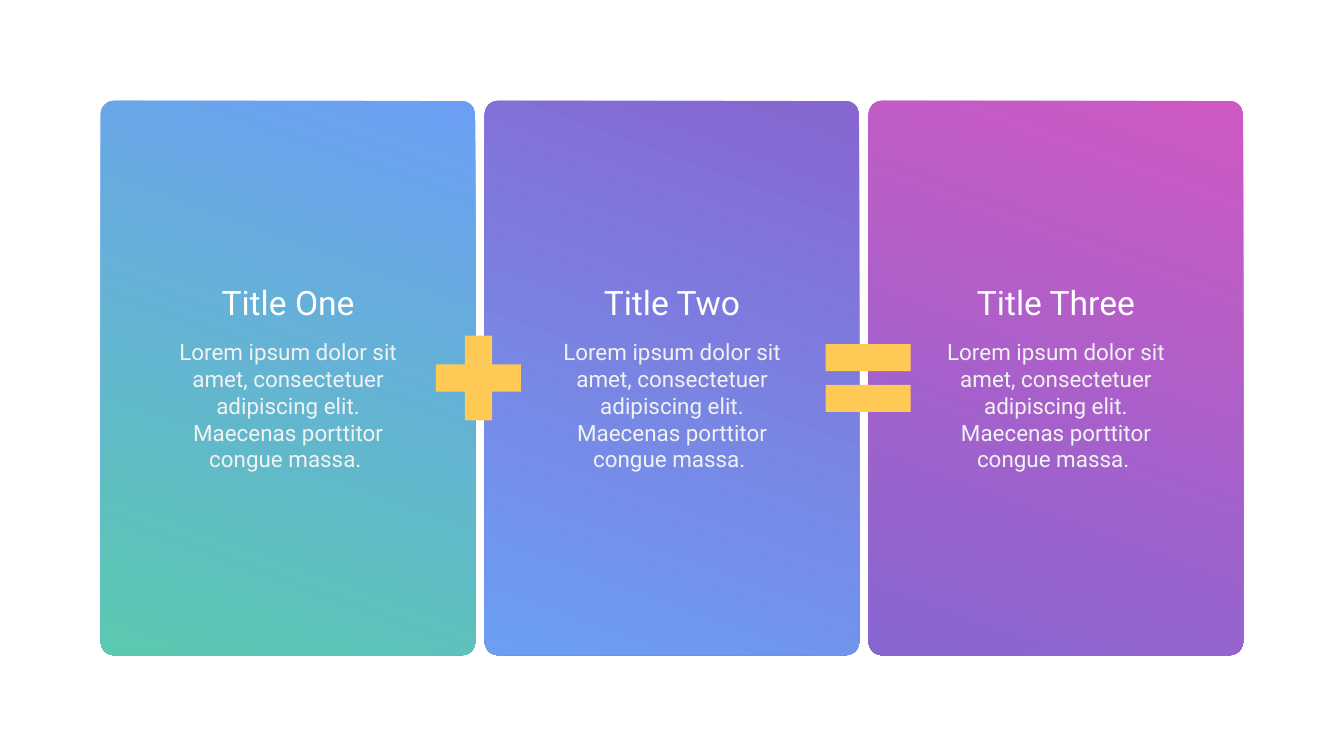
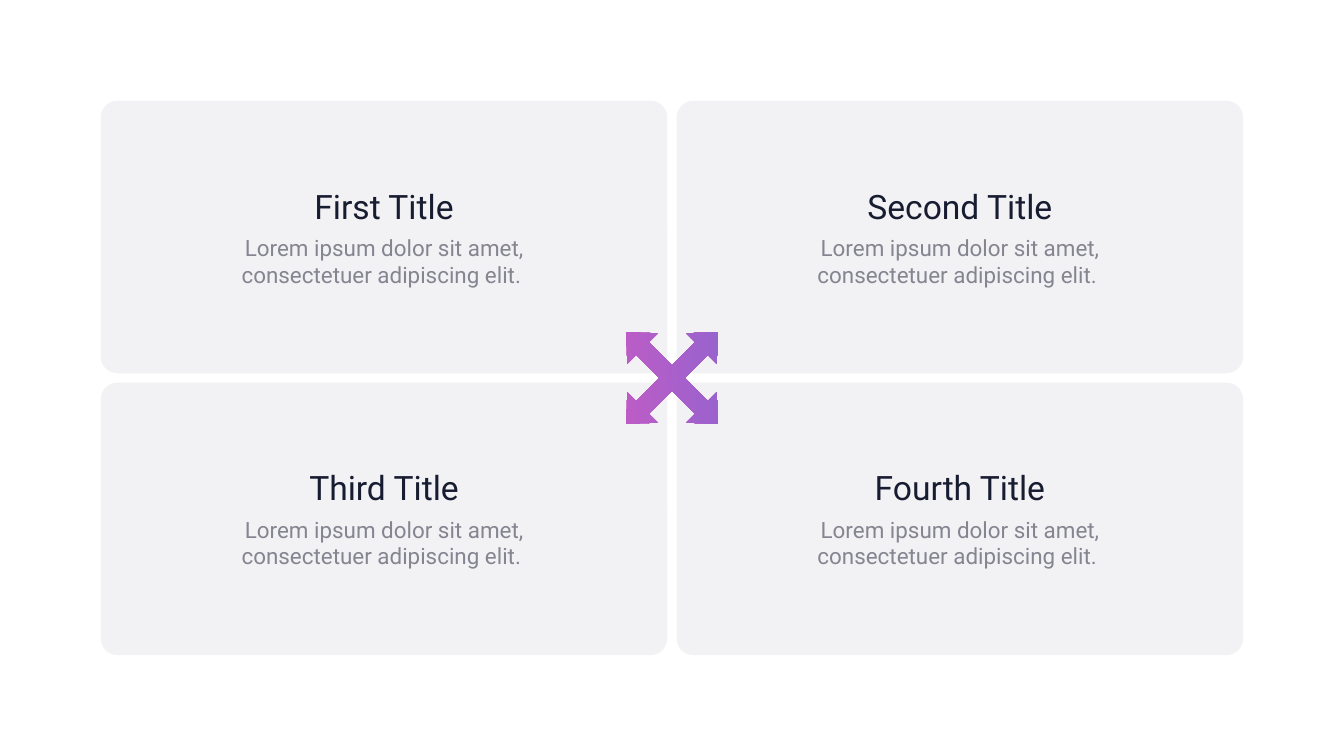
from dataclasses import dataclass

from pptx import Presentation
from pptx.dml.color import RGBColor
from pptx.enum.shapes import MSO_SHAPE as Preset
from pptx.enum.text import MSO_AUTO_SIZE as AutoSize, PP_ALIGN as Align
from pptx.shapes.autoshape import Shape
from pptx.slide import Slide
from pptx.util import Inches, Pt

SLIDE_WIDTH, SLIDE_HEIGHT = 20, 11.25
MARGIN, GAP = 1.5, 0.14

WHITE, PALE, GREY, INK = "FFFFFF", "F2F2F2", "858591", "171C30"
PANEL, YELLOW = "F2F2F5", "FFC955"
GREEN, BLUE, VIOLET, PINK = "5BC9B0", "6C9FF4", "8766D0", "CE59C4"

SHORT_TEXT = "Lorem ipsum dolor sit amet, consectetuer adipiscing elit. "
LONG_TEXT = SHORT_TEXT + "Maecenas porttitor congue massa. "


@dataclass(frozen=True)
class Box:
    left: float
    top: float
    width: float
    height: float

    def lengths(self) -> tuple:
        return tuple(Inches(n) for n in (self.left, self.top, self.width, self.height))

    def centred(self, top: float, width: float, height: float) -> "Box":
        return Box(self.left + (self.width - width) / 2, self.top + top, width, height)


@dataclass(frozen=True)
class Fill:
    colors: tuple[str, ...]
    angle: float = 250


@dataclass(frozen=True)
class Card:
    title: str
    fill: Fill


@dataclass(frozen=True)
class TextStyle:
    top: float
    width: float
    height: float
    size: int
    color: str


@dataclass(frozen=True)
class CardLayout:
    columns: int
    rows: int
    corner: float
    title: TextStyle
    body: TextStyle
    body_text: str

    def boxes(self) -> list[Box]:
        width = (SLIDE_WIDTH - 2 * MARGIN - GAP * (self.columns - 1)) / self.columns
        height = (SLIDE_HEIGHT - 2 * MARGIN - GAP * (self.rows - 1)) / self.rows
        return [
            Box(MARGIN + column * (width + GAP), MARGIN + row * (height + GAP), width, height)
            for row in range(self.rows)
            for column in range(self.columns)
        ]


@dataclass(frozen=True)
class Symbol:
    preset: Preset
    center_x: float
    size: float
    fill: Fill
    adjustments: tuple[float, ...] = ()
    rotation: float = 0


SUM_LAYOUT = CardLayout(
    3, 1, 0.036,
    TextStyle(2.65, 4.11, 0.71, 36, WHITE),
    TextStyle(3.48, 3.55, 2.12, 24, PALE),
    LONG_TEXT,
)
SUM_CARDS = [
    Card("Title One", Fill((BLUE, GREEN))),
    Card("Title Two", Fill((VIOLET, BLUE))),
    Card("Title Three", Fill((PINK, VIOLET))),
]
SUM_SYMBOLS = [
    Symbol(Preset.MATH_PLUS, 7.12, 1.72, Fill((YELLOW,))),
    Symbol(Preset.MATH_EQUAL, 12.92, 1.72, Fill((YELLOW,))),
]

QUADRANT_LAYOUT = CardLayout(
    2, 2, 0.061,
    TextStyle(1.21, 4.58, 0.71, 36, INK),
    TextStyle(1.93, 4.58, 0.91, 24, GREY),
    SHORT_TEXT,
)
QUADRANT_CARDS = [
    Card(f"{order} Title", Fill((PANEL,)))
    for order in ("First", "Second", "Third", "Fourth")
]
QUADRANT_SYMBOLS = [
    Symbol(Preset.QUAD_ARROW, 10, 1.92, Fill((PINK, VIOLET), 50), (0.139, 0.168, 0.177), 45),
]


def rgb(color: str) -> RGBColor:
    return RGBColor.from_string(color)


def set_values(target: object, values: dict) -> None:
    for name, value in values.items():
        setattr(target, name, value)


def paint(shape: Shape, fill: Fill) -> None:
    if len(fill.colors) == 1:
        shape.fill.solid()
        shape.fill.fore_color.rgb = rgb(fill.colors[0])
        return
    shape.fill.gradient()
    shape.fill.gradient_angle = fill.angle
    for stop, color in zip(shape.fill.gradient_stops, fill.colors):
        stop.color.rgb = rgb(color)


def add_filled_shape(
    slide: Slide, preset: Preset, box: Box, fill: Fill, adjustments: tuple[float, ...] = ()
) -> Shape:
    shape = slide.shapes.add_shape(preset, *box.lengths())
    shape.shadow.inherit = False
    shape.line.fill.background()
    paint(shape, fill)
    for index, value in enumerate(adjustments):
        shape.adjustments[index] = value
    return shape


def add_symbol(slide: Slide, symbol: Symbol) -> None:
    half = symbol.size / 2
    box = Box(symbol.center_x - half, SLIDE_HEIGHT / 2 - half, symbol.size, symbol.size)
    shape = add_filled_shape(slide, symbol.preset, box, symbol.fill, symbol.adjustments)
    shape.rotation = symbol.rotation


def add_text(slide: Slide, card_box: Box, text: str, style: TextStyle) -> None:
    box = card_box.centred(style.top, style.width, style.height)
    frame = slide.shapes.add_textbox(*box.lengths()).text_frame
    set_values(frame, {"word_wrap": True, "auto_size": AutoSize.SHAPE_TO_FIT_TEXT})
    paragraph = frame.paragraphs[0]
    paragraph.alignment = Align.CENTER
    run = paragraph.add_run()
    run.text = text
    set_values(run.font, {"name": "Roboto", "size": Pt(style.size)})
    run.font.color.rgb = rgb(style.color)


def add_card_slide(
    presentation: Presentation, layout: CardLayout, cards: list[Card], symbols: list[Symbol]
) -> None:
    slide = presentation.slides.add_slide(presentation.slide_layouts[6])
    boxes = layout.boxes()
    for box, card in zip(boxes, cards):
        add_filled_shape(slide, Preset.ROUNDED_RECTANGLE, box, card.fill, (layout.corner,))
    for symbol in symbols:
        add_symbol(slide, symbol)
    for box, card in zip(boxes, cards):
        add_text(slide, box, card.title, layout.title)
        add_text(slide, box, layout.body_text, layout.body)


def main() -> None:
    presentation = Presentation()
    set_values(
        presentation,
        {"slide_width": Inches(SLIDE_WIDTH), "slide_height": Inches(SLIDE_HEIGHT)},
    )
    add_card_slide(presentation, SUM_LAYOUT, SUM_CARDS, SUM_SYMBOLS)
    add_card_slide(presentation, QUADRANT_LAYOUT, QUADRANT_CARDS, QUADRANT_SYMBOLS)
    presentation.save("out.pptx")


if __name__ == "__main__":
    main()
